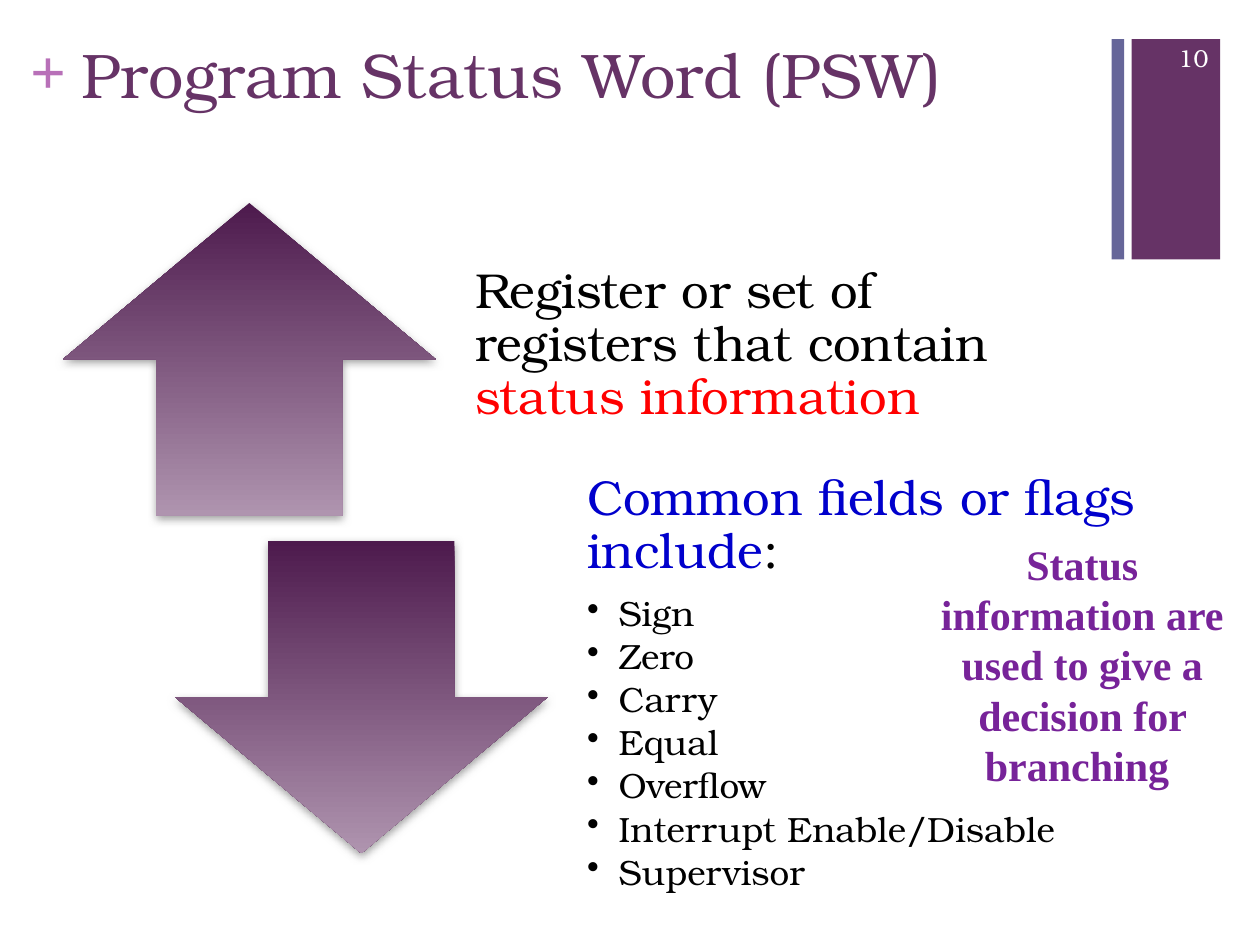
from lxml.etree import SubElement
from pptx import Presentation
from pptx.dml.color import RGBColor
from pptx.enum.shapes import MSO_SHAPE
from pptx.enum.text import MSO_ANCHOR, PP_ALIGN
from pptx.oxml.ns import qn
from pptx.util import Pt

PLUM = RGBColor(0x66, 0x33, 0x66)
SLATE = RGBColor(0x66, 0x66, 0x99)
ORCHID = RGBColor(0xB8, 0x70, 0xB8)
DARK = RGBColor(0x4D, 0x1A, 0x4D)
PALE = RGBColor(0xAF, 0x94, 0xAF)
PURPLE = RGBColor(0x77, 0x23, 0x99)
BLUE = RGBColor(0x00, 0x00, 0xCC)
RED = RGBColor(0xFF, 0x00, 0x00)
BLACK = RGBColor(0x00, 0x00, 0x00)
WHITE = RGBColor(0xFF, 0xFF, 0xFF)
BONUM = "TeX Gyre Bonum"
TIMES = "Times New Roman"
FLAGS = ["Sign", "Zero", "Carry", "Equal", "Overflow",
         "Interrupt Enable/Disable", "Supervisor"]


def add_text(slide, box, insets=(7.2, 3.6, 7.2, 3.6), anchor=MSO_ANCHOR.TOP):
    frame = slide.shapes.add_textbox(*map(Pt, box)).text_frame
    frame.word_wrap = True
    frame.vertical_anchor = anchor
    (frame.margin_left, frame.margin_top,
     frame.margin_right, frame.margin_bottom) = map(Pt, insets)
    return frame


def add_run(para, text, size, color, face=BONUM, bold=False):
    run = para.add_run()
    run.text = text
    font = run.font
    font.size, font.name, font.bold = Pt(size), face, bold
    font.color.rgb = color


def add_shape(slide, kind, box):
    shape = slide.shapes.add_shape(kind, *map(Pt, box))
    shape.shadow.inherit = False
    shape.line.fill.background()
    return shape


def add_bar(slide, box, color):
    bar = add_shape(slide, MSO_SHAPE.RECTANGLE, box)
    bar.fill.solid()
    bar.fill.fore_color.rgb = color


def add_arrow(slide, kind, box):
    """Block arrow shaded from dark to pale, with a soft shadow below."""
    arrow = add_shape(slide, kind, box)
    arrow.fill.gradient()
    arrow.fill.gradient_angle = 270
    for stop, color, place in zip(arrow.fill.gradient_stops, (DARK, PALE), (0, 1)):
        stop.color.rgb = color
        stop.position = place
    effects = arrow._element.spPr.find(qn("a:effectLst"))
    shadow = SubElement(effects, qn("a:outerShdw"), blurRad=str(Pt(5)),
                        dist=str(Pt(2)), dir="5400000", rotWithShape="0")
    tint = SubElement(shadow, qn("a:srgbClr"), val="808080")
    SubElement(tint, qn("a:alpha"), val="75000")


def set_bullet(para, indent):
    props = para._p.get_or_add_pPr()
    props.set("marL", str(Pt(indent)))
    props.set("indent", str(-Pt(indent)))
    SubElement(props, qn("a:buChar"), char="•")


def space(para, after):
    para.line_spacing = 0.9
    para.space_after = Pt(after)


def add_header(slide, left, top):
    plus = add_text(slide, (left, top + 1.5, 21, 44), (0, 0, 0, 0))
    add_run(plus.paragraphs[0], "+", 36, ORCHID, TIMES, True)
    title = add_text(slide, (left + 22.3, top, 594.7, 53))
    add_run(title.paragraphs[0], "Program Status Word (PSW)", 36, PLUM)


def add_corner(slide, left, top, height):
    add_bar(slide, (left, top, 7.2, height), SLATE)
    add_bar(slide, (left + 11.4, top, 50.6, height), PLUM)
    number = add_text(slide, (left + 18.5, top - 3.6, 44, 29),
                      anchor=MSO_ANCHOR.MIDDLE)
    number.paragraphs[0].alignment = PP_ALIGN.RIGHT
    add_run(number.paragraphs[0], "10", 14, WHITE)


def add_panel(slide, kind, left, top, rise, height):
    """Arrow at left and top; returns the text frame beside it, raised by rise."""
    add_arrow(slide, kind, (left, top, 213, 178.6))
    return add_text(slide, (left + 219.5, top - rise, 361, height),
                    (16, 0, 16, 16), MSO_ANCHOR.MIDDLE)


def add_meaning(slide, left, top):
    frame = add_panel(slide, MSO_SHAPE.UP_ARROW, left, top, 0, 178.6)
    para = frame.paragraphs[0]
    space(para, 9.8)
    add_run(para, "Register or set of registers that contain ", 28, BLACK)
    add_run(para, "status information", 28, RED)


def add_flags(slide, left, top):
    frame = add_panel(slide, MSO_SHAPE.DOWN_ARROW, left, top, 44.6, 267.8)
    head = frame.paragraphs[0]
    space(head, 9.8)
    add_run(head, "Common fields or flags include", 28, BLUE)
    add_run(head, ":", 28, BLACK)
    for flag in FLAGS:
        para = frame.add_paragraph()
        para.level = 1
        space(para, 3)
        set_bullet(para, 18)
        add_run(para, flag, 20, BLACK)


def add_remark(slide, box):
    para = add_text(slide, box).paragraphs[0]
    para.alignment = PP_ALIGN.CENTER
    add_run(para, "Status information are used to give a decision for branching ",
            24, PURPLE, TIMES, True)


def main():
    deck = Presentation()
    deck.slide_width, deck.slide_height = Pt(720), Pt(540)
    slide = deck.slides.add_slide(deck.slide_layouts[6])
    add_corner(slide, 635.2, 22.3, 126)
    add_header(slide, 17.3, 16.5)
    add_meaning(slide, 36, 116)
    add_flags(slide, 100, 309)
    add_remark(slide, (528.5, 304, 180, 152.6))
    deck.save("out.pptx")


if __name__ == "__main__":
    main()
